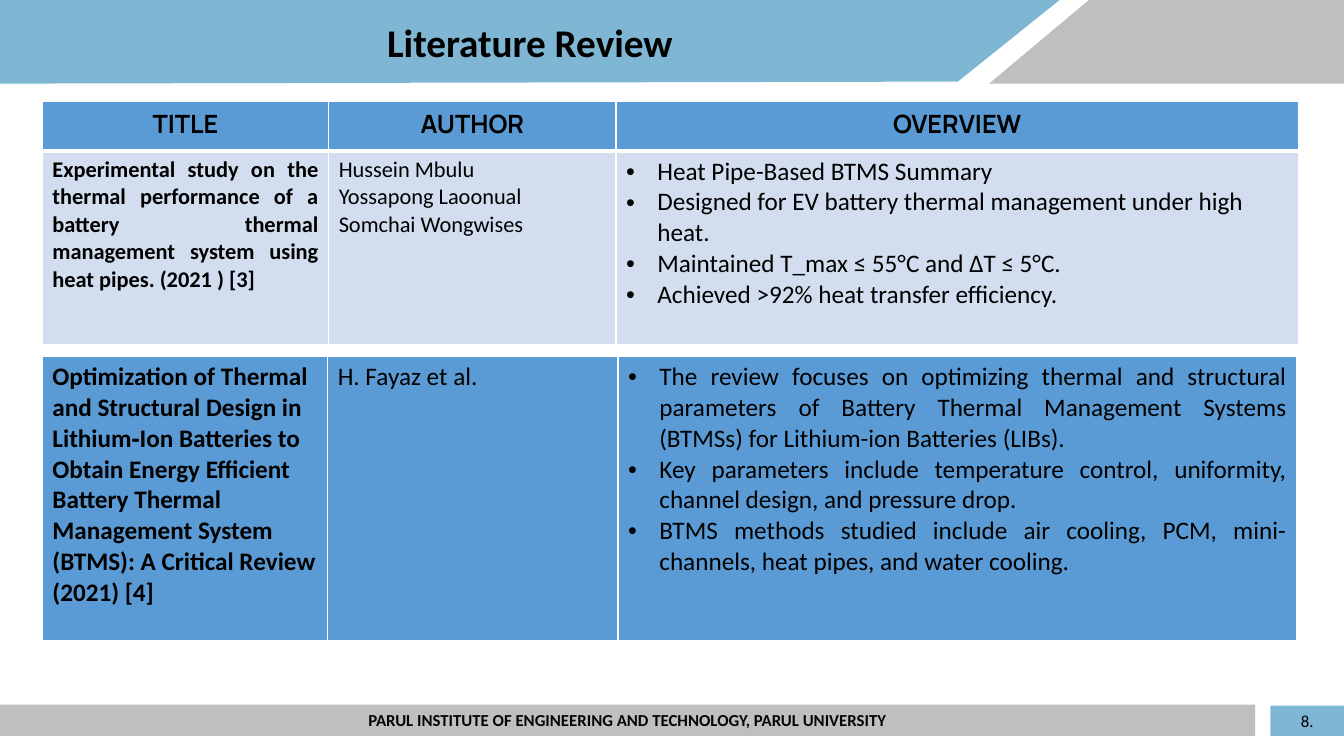
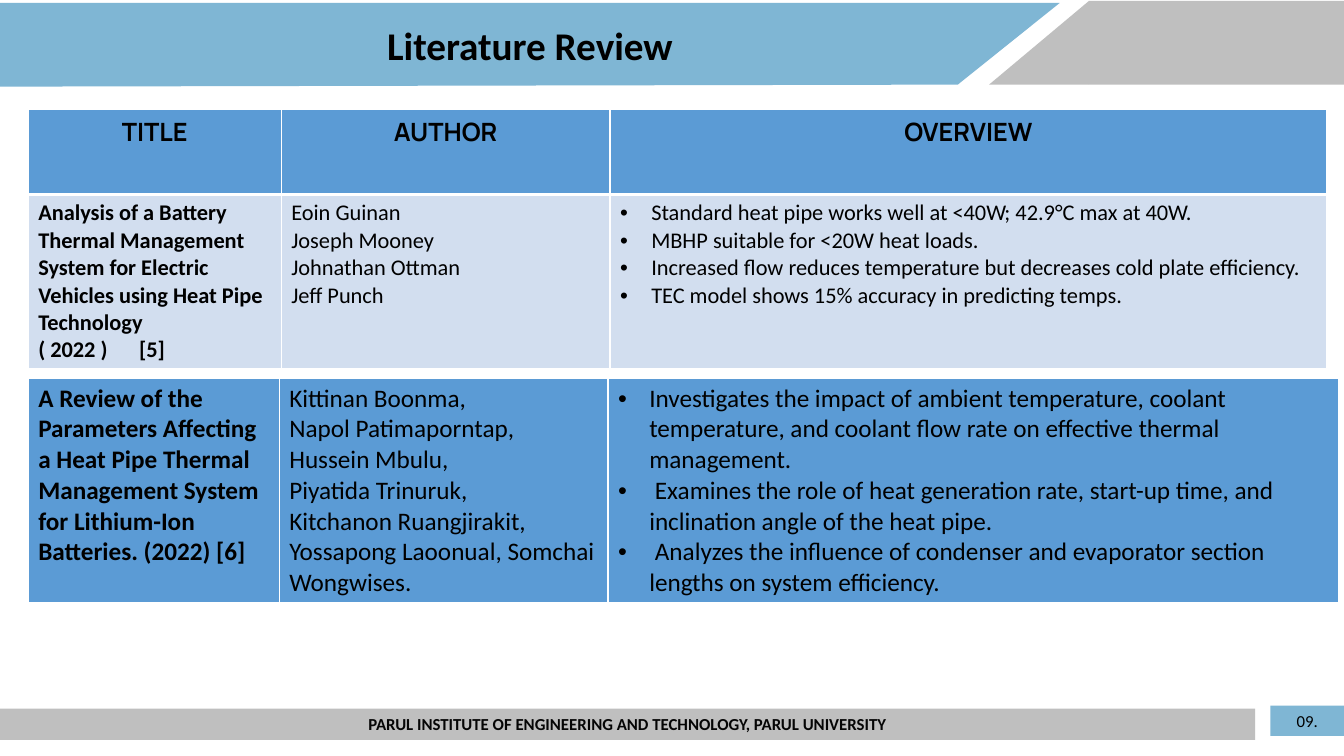
from dataclasses import dataclass, field

from lxml.etree import SubElement
from pptx import Presentation
from pptx.dml.color import RGBColor
from pptx.enum.shapes import MSO_SHAPE as Shape
from pptx.enum.text import MSO_ANCHOR as Anchor, PP_ALIGN as Align
from pptx.oxml import parse_xml
from pptx.oxml.ns import nsdecls, qn
from pptx.util import Inches, Pt


@dataclass(frozen=True)
class Theme:
    band: RGBColor = RGBColor(0x7F, 0xB6, 0xD4)
    grey: RGBColor = RGBColor(0xBF, 0xBF, 0xBF)
    strong: RGBColor = RGBColor(0x5B, 0x9B, 0xD5)
    pale: RGBColor = RGBColor(0xD2, 0xDE, 0xEF)
    text: RGBColor = RGBColor(0, 0, 0)
    footer_text: RGBColor = RGBColor(0x05, 0x05, 0x05)
    rule: str = "FFFFFF"
    body_font: str = "Calibri"
    heading_font: str = "Manrope"
    title_size: int = 28
    large: int = 18
    medium: int = 16
    small: int = 12
    bullet_indent: float = 0.31


THEME = Theme()


@dataclass
class Cell:
    lines: list
    size: int = THEME.large
    bold: bool = False
    align: Align = Align.LEFT
    bullets: bool = False
    font: str = THEME.body_font


@dataclass
class Row:
    height: float
    cells: list
    fill: RGBColor = THEME.strong
    bottom_rule: int = 3


@dataclass
class Grid:
    left: float
    top: float
    columns: list
    rows: list


@dataclass
class Review:
    number: str
    title_top: float
    corner_top: float
    footer_top: float
    grids: list = field(default_factory=list)


def apply(target, values):
    for name, value in values.items():
        setattr(target, name, value)


def write(paragraph, text, size, bold=False, align=Align.CENTER,
          font=THEME.body_font, color=THEME.text):
    paragraph.alignment = align
    run = paragraph.add_run()
    run.text = text
    apply(run.font, {"size": Pt(size), "bold": bold, "name": font})
    run.font.color.rgb = color


def paint(shape, color):
    shape.shadow.inherit = False
    shape.fill.solid()
    shape.fill.fore_color.rgb = color
    shape.line.fill.background()
    return shape


def add_polygon(slide, left, top, points, color):
    corners = [(Inches(left + x), Inches(top + y)) for x, y in points]
    builder = slide.shapes.build_freeform(*corners[0])
    builder.add_line_segments(corners[1:], close=True)
    return paint(builder.convert_to_shape(), color)


def add_box(slide, left, top, width, height, color):
    lengths = [Inches(value) for value in (left, top, width, height)]
    return paint(slide.shapes.add_shape(Shape.RECTANGLE, *lengths), color)


def add_title_band(slide, top):
    outline = [(0, 0), (10.51, 0), (9.5, 0.81), (0, 0.83)]
    band = add_polygon(slide, 0, top, outline, THEME.band)
    band.text_frame.vertical_anchor = Anchor.MIDDLE
    write(band.text_frame.paragraphs[0], "Literature Review", THEME.title_size, True)


def add_corner(slide, left, top):
    slope, height = 0.99, 0.83
    add_polygon(slide, left, top, [(slope, 0), (slope, height), (0, height)], THEME.grey)
    add_box(slide, left + slope, top, 13.33 - left - slope, height, THEME.grey)


def add_footer(slide, top, number):
    bar = add_box(slide, 0, top, 12.45, 0.31, THEME.grey)
    bar.text_frame.word_wrap = True
    bar.text_frame.vertical_anchor = Anchor.TOP
    write(bar.text_frame.paragraphs[0],
          "PARUL INSTITUTE OF ENGINEERING AND TECHNOLOGY, PARUL UNIVERSITY",
          THEME.small, True, color=THEME.footer_text)
    badge = add_box(slide, 12.6, 7, 0.73, 0.3, THEME.band)
    badge.text_frame.vertical_anchor = Anchor.MIDDLE
    write(badge.text_frame.paragraphs[0], number, THEME.small)


def add_bullet(paragraph):
    properties = paragraph._p.get_or_add_pPr()
    indent = Inches(THEME.bullet_indent)
    properties.set("marL", str(indent))
    properties.set("indent", str(-indent))
    SubElement(properties, qn("a:buFont")).set("typeface", "Arial")
    SubElement(properties, qn("a:buChar")).set("char", "•")


def add_borders(table_cell, bottom_rule):
    properties = table_cell._tc.get_or_add_tcPr()
    widths = {"lnL": 1, "lnR": 1, "lnT": 1, "lnB": bottom_rule}
    for position, (side, width) in enumerate(widths.items()):
        properties.insert(position, parse_xml(
            f'<a:{side} {nsdecls("a")} w="{Pt(width)}"><a:solidFill>'
            f'<a:srgbClr val="{THEME.rule}"/></a:solidFill></a:{side}>'))


def fill_cell(table_cell, cell, row):
    table_cell.fill.solid()
    table_cell.fill.fore_color.rgb = row.fill
    add_borders(table_cell, row.bottom_rule)
    frame = table_cell.text_frame
    for index, line in enumerate(cell.lines):
        paragraph = frame.add_paragraph() if index else frame.paragraphs[0]
        if cell.bullets:
            add_bullet(paragraph)
        write(paragraph, line, cell.size, cell.bold, cell.align, cell.font)


def add_grid(slide, grid):
    width = sum(grid.columns)
    height = sum(row.height for row in grid.rows)
    lengths = [Inches(value) for value in (grid.left, grid.top, width, height)]
    table = slide.shapes.add_table(len(grid.rows), len(grid.columns), *lengths).table
    apply(table, {"first_row": False, "horz_banding": False})
    for column, column_width in zip(table.columns, grid.columns):
        column.width = Inches(column_width)
    for table_row, row in zip(table.rows, grid.rows):
        table_row.height = Inches(row.height)
        for table_cell, cell in zip(table_row.cells, row.cells):
            fill_cell(table_cell, cell, row)


def add_review(presentation, review):
    slide = presentation.slides.add_slide(presentation.slide_layouts[6])
    add_title_band(slide, review.title_top)
    add_corner(slide, 9.81, review.corner_top)
    add_footer(slide, review.footer_top, review.number)
    for grid in review.grids:
        add_grid(slide, grid)


def heading_row(height):
    return Row(height, [Cell([name], bold=True, align=Align.CENTER, font=THEME.heading_font)
                        for name in ("TITLE", "AUTHOR", "OVERVIEW")])


def pale_row(height, cells):
    return Row(height, cells, THEME.pale, 1)


REVIEWS = [
    Review("8.", 0, 0, 6.99, [
        Grid(0.42, 1.01, [2.84, 2.85, 6.77], [
            heading_row(0.49),
            pale_row(1.92, [
                Cell(["Experimental study on the thermal performance of a battery thermal "
                      "management system using heat pipes. (2021 ) [3]"],
                     THEME.medium, True, Align.JUSTIFY),
                Cell(["Hussein Mbulu", "Yossapong Laoonual", "Somchai Wongwises"],
                     THEME.medium),
                Cell(["Heat Pipe-Based BTMS Summary",
                      "Designed for EV battery thermal management under high heat.",
                      "Maintained T_max ≤ 55°C and ΔT ≤ 5°C.",
                      "Achieved >92% heat transfer efficiency."], bullets=True),
            ]),
        ]),
        Grid(0.42, 3.54, [2.83, 2.88, 6.73], [
            Row(2.83, [
                Cell(["Optimization of Thermal and Structural Design in Lithium‑Ion "
                      "Batteries to Obtain Energy Efficient Battery Thermal Management "
                      "System (BTMS): A Critical Review (2021) [4]"], bold=True),
                Cell(["H. Fayaz et al."]),
                Cell(["The review focuses on optimizing thermal and structural parameters of "
                      "Battery Thermal Management Systems (BTMSs) for Lithium-ion Batteries "
                      "(LIBs).",
                      "Key parameters include temperature control, uniformity, channel design, "
                      "and pressure drop.",
                      "BTMS methods studied include air cooling, PCM, mini-channels, heat "
                      "pipes, and water cooling."], align=Align.JUSTIFY, bullets=True),
            ]),
        ]),
    ]),
    Review("09.", 0.03, 0.01, 7.03, [
        Grid(0.28, 1.09, [2.51, 3.26, 7.11], [
            heading_row(0.84),
            pale_row(1.71, [
                Cell(["Analysis of a Battery Thermal Management System for Electric Vehicles "
                      "using Heat Pipe Technology", "( 2022 )\t[5]"], THEME.medium, True),
                Cell(["Eoin Guinan", "Joseph Mooney", "Johnathan Ottman", "Jeff Punch"],
                     THEME.medium),
                Cell(["Standard heat pipe works well at <40W; 42.9°C max at 40W.",
                      "MBHP suitable for <20W heat loads.",
                      "Increased flow reduces temperature but decreases cold plate efficiency.",
                      "TEC model shows 15% accuracy in predicting temps."],
                     THEME.medium, bullets=True),
            ]),
        ]),
        Grid(0.28, 3.75, [2.49, 3.26, 7.25], [
            Row(2.18, [
                Cell(["A Review of the Parameters Affecting a Heat Pipe Thermal Management "
                      "System for Lithium-Ion Batteries. (2022) [6]"], bold=True),
                Cell(["Kittinan Boonma,", "Napol Patimaporntap,", "Hussein Mbulu,",
                      "Piyatida Trinuruk,", "Kitchanon Ruangjirakit,",
                      "Yossapong Laoonual, Somchai Wongwises."]),
                Cell(["Investigates the impact of ambient temperature, coolant temperature, "
                      "and coolant flow rate on effective thermal management.",
                      " Examines the role of heat generation rate, start-up time, and "
                      "inclination angle of the heat pipe.",
                      " Analyzes the influence of condenser and evaporator section lengths "
                      "on system efficiency."], bullets=True),
            ]),
        ]),
    ]),
]


def main():
    presentation = Presentation()
    apply(presentation, {"slide_width": Inches(13.33), "slide_height": Inches(7.5)})
    for review in REVIEWS:
        add_review(presentation, review)
    presentation.save("out.pptx")


if __name__ == "__main__":
    main()
